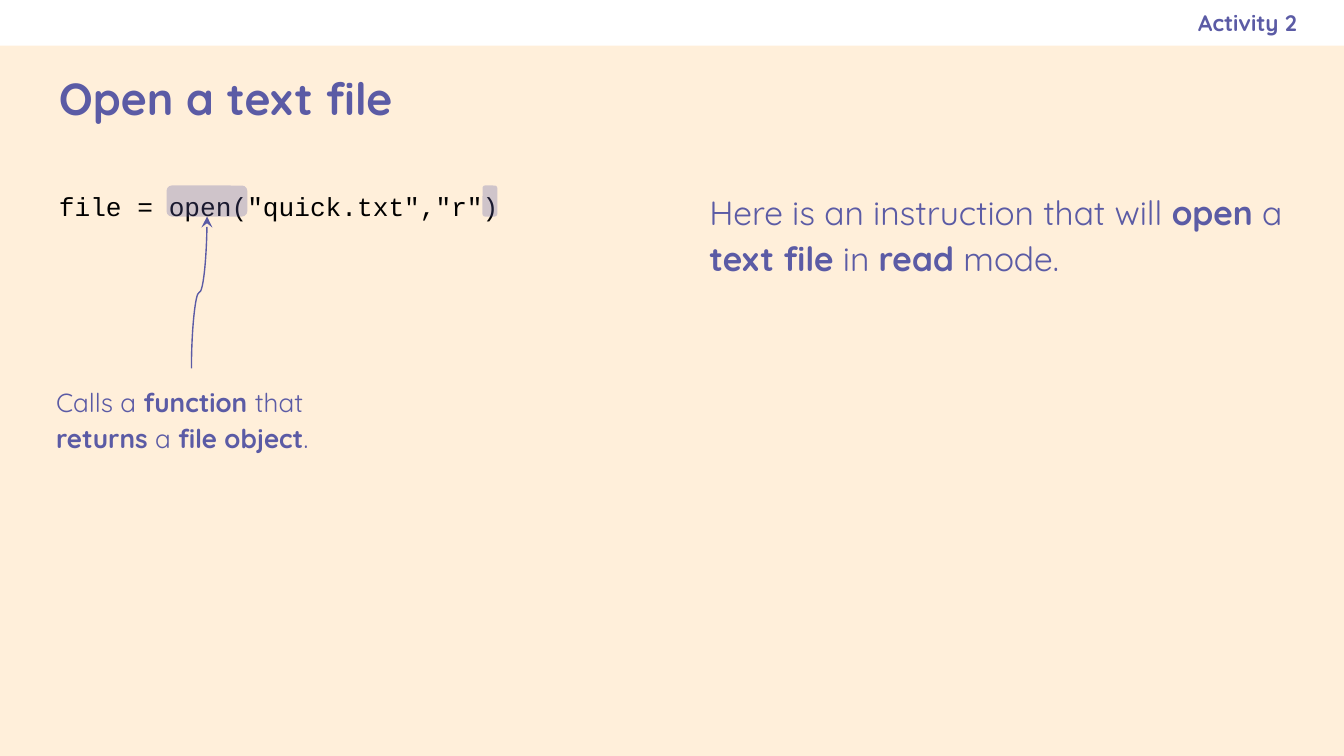
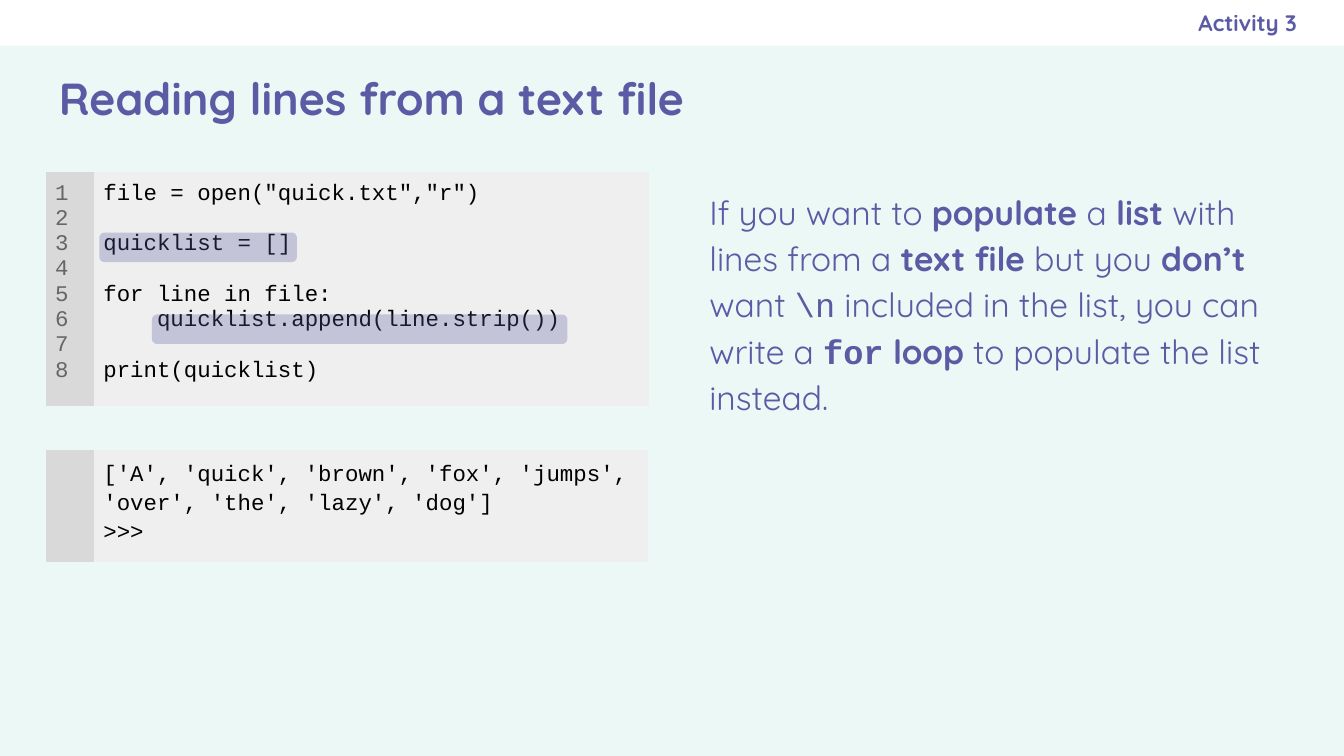
from collections import namedtuple

from lxml.etree import SubElement
from pptx import Presentation
from pptx.dml.color import RGBColor
from pptx.enum.shapes import MSO_CONNECTOR as Connector, MSO_SHAPE as Preset
from pptx.enum.text import MSO_ANCHOR as Anchor, PP_ALIGN as Align
from pptx.oxml.ns import qn
from pptx.util import Pt

Box = namedtuple("Box", "left top width height")

PURPLE, WHITE, BLACK = "5B5BA5", "FFFFFF", "000000"
CREAM, MINT = "FFEFDA", "ECF8F5"
GUTTER_GREY, CODE_GREY, NUMBER_GREY = "D9D9D9", "EFEFEF", "666666"
SANS, MONO = "Quicksand", "Courier New"
NO_GRID_STYLE = "{2D5ABB26-0587-4C30-8999-92F81FD0307C}"

PAGE = Box(0, 0, 720, 405)
BAND_HEIGHT = 24.5
MARGIN = 24.5
GUTTER_WIDTH = 25.9
LEFT_COLUMN = Box(MARGIN, 92.2, 322.6, 288)
RIGHT_COLUMN = LEFT_COLUMN._replace(left=PAGE.width - MARGIN - LEFT_COLUMN.width)


def color(value):
    """Turn a hex string into a colour."""
    return RGBColor.from_string(value)


def lengths(box):
    """Give a box as four lengths in points."""
    return [Pt(value) for value in box]


def within(box, left, top, width, height):
    """Give the box that lies at an offset inside another one."""
    return Box(box.left + left, box.top + top, width, height)


def style(span, size, ink, face=SANS, bold=False):
    """Set the look of one run."""
    span.font.size, span.font.name, span.font.bold = Pt(size), face, bold
    span.font.color.rgb = color(ink)


def fill_shape(page, preset, box, paint, opacity=None):
    """Add a filled preset shape without outline or shadow."""
    shape = page.shapes.add_shape(preset, *lengths(box))
    shape.shadow.inherit = False
    shape.fill.solid()
    shape.fill.fore_color.rgb = color(paint)
    shape.line.fill.background()
    if opacity:
        tint = shape.fill._xPr.find(".//" + qn("a:srgbClr"))
        SubElement(tint, qn("a:alpha")).set("val", str(opacity * 1000))
    return shape


def text_box(page, box, anchor=Anchor.TOP, right_inset=7.2):
    """Add an empty wrapping text box and return its first paragraph."""
    frame = page.shapes.add_textbox(*lengths(box)).text_frame
    frame.word_wrap = True
    frame.vertical_anchor = anchor
    frame.margin_left = frame.margin_top = frame.margin_bottom = Pt(7.2)
    frame.margin_right = Pt(right_inset)
    return frame.paragraphs[0]


def heading(page, box, text, size, align=Align.LEFT, right_inset=7.2):
    """Write one bold, vertically centred line."""
    para = text_box(page, box, Anchor.MIDDLE, right_inset)
    para.text = text
    para.alignment = align
    style(para.runs[0], size, PURPLE, bold=True)


def prose(page, box, marked, size):
    """Write a paragraph in which *...* is bold and `...` is code."""
    para = text_box(page, box)
    para.line_spacing, para.space_after = 1.15, Pt(16)
    for i, part in enumerate(marked.split("*")):
        for j, piece in enumerate(part.split("`")):
            if piece:
                span = para.add_run()
                span.text = piece
                style(span, size, PURPLE, MONO if j % 2 else SANS, bool(i % 2))


def code_line(page, box, code):
    """Write a single line of code."""
    para = text_box(page, box)
    para.text = code
    para.line_spacing = 1.15
    style(para.runs[0], 14, BLACK, MONO)


def highlight(page, box):
    """Lay a translucent marker over code."""
    fill_shape(page, Preset.ROUNDED_RECTANGLE, box, PURPLE, opacity=29)


def curved_arrow(page, start, end):
    """Draw an upright S-curve from start up to end."""
    (x1, y1), (x2, y2) = start, end
    center_x, center_y = (x1 + x2) / 2, (y1 + y2) / 2
    along, across = (y1 - y2) / 2, (x2 - x1) / 2
    arrow = page.shapes.add_connector(
        Connector.CURVE,
        Pt(center_x - along), Pt(center_y - across),
        Pt(center_x + along), Pt(center_y + across))
    arrow.line.color.rgb = color(PURPLE)
    arrow.line.width = Pt(0.75)
    properties = arrow._element.spPr
    properties.find(qn("a:xfrm")).set("rot", str(270 * 60000))
    SubElement(properties.find(qn("a:ln")), qn("a:tailEnd")).set("type", "stealth")
    SubElement(properties, qn("a:effectLst"))


def fill_cell(cell, paint, lines, ink, spacing):
    """Fill a table cell with lines of code."""
    cell.fill.solid()
    cell.fill.fore_color.rgb = color(paint)
    cell.margin_left = cell.margin_right = Pt(5)
    cell.margin_top = cell.margin_bottom = Pt(5)
    cell.text_frame.text = "\n".join(lines)
    for para in cell.text_frame.paragraphs:
        para.line_spacing = spacing
        for span in para.runs:
            style(span, 12, ink, MONO)
        if not para.runs:
            ending = SubElement(para._p, qn("a:endParaRPr"))
            ending.set("sz", "1200")
            SubElement(ending, qn("a:latin")).set("typeface", MONO)


def listing(page, box, lines, numbered=True, spacing=1.0):
    """Add a code table with a grey gutter."""
    frame = page.shapes.add_table(1, 2, *lengths(box))
    table = frame.table
    table.first_row = table.horz_banding = False
    table._tbl.tblPr.find(qn("a:tableStyleId")).text = NO_GRID_STYLE
    table.columns[0].width = Pt(GUTTER_WIDTH)
    table.columns[1].width = Pt(box.width - GUTTER_WIDTH)
    numbers = [str(n + 1) for n in range(len(lines))] if numbered else []
    fill_cell(table.cell(0, 0), GUTTER_GREY, numbers, NUMBER_GREY, spacing)
    fill_cell(table.cell(0, 1), CODE_GREY, lines, BLACK, spacing)


def lesson_page(deck, background, activity, title):
    """Add a page with its background, top band, label and title."""
    page = deck.slides.add_slide(deck.slide_layouts[6])
    page.background.fill.solid()
    page.background.fill.fore_color.rgb = color(background)
    band = PAGE._replace(height=BAND_HEIGHT)
    fill_shape(page, Preset.RECTANGLE, band, WHITE)
    heading(page, within(band, 414, 0, 280.8, BAND_HEIGHT), activity, 12, Align.RIGHT, 0)
    heading(page, Box(MARGIN, 25.2, PAGE.width - 2 * MARGIN, 54.7), title, 24)
    return page


def annotated_call(page, box):
    """Show the open call with its highlights and explanation."""
    code_line(page, box, 'file = open("quick.txt","r")')
    call = within(box, 64.8, 7.2, 43.2, 16.6)
    highlight(page, call)
    highlight(page, within(box, 234, 7.2, 7.9, 16.6))
    note = within(box, -1.5, 105.1, 159.1, 77.8)
    prose(page, note, "Calls a *function *that *returns *a *file object*.", 14)
    curved_arrow(page, (note.left + note.width / 2, note.top),
                 (call.left + call.width / 2, call.top + call.height))


def program_and_output(page, box):
    """Show the numbered program above what it prints."""
    listing(page, within(box, 0, 0, 323.3, 118.4), [
        'file = open("quick.txt","r")',
        "",
        "quicklist = []",
        "",
        "for line in file:",
        "    quicklist.append(line.strip())",
        "",
        "print(quicklist)",
    ])
    highlight(page, within(box, 28.8, 32.4, 105.8, 15.8))
    highlight(page, within(box, 56.9, 76.3, 222.5, 15.8))
    listing(page, within(box, 0, 149, 322.6, 56.8), [
        "['A', 'quick', 'brown', 'fox', 'jumps', 'over', 'the', 'lazy', 'dog']",
        ">>>",
    ], numbered=False, spacing=1.15)


def main():
    """Build and save the deck."""
    deck = Presentation()
    deck.slide_width, deck.slide_height = Pt(PAGE.width), Pt(PAGE.height)

    page = lesson_page(deck, CREAM, "Activity 2", "Open a text file")
    annotated_call(page, LEFT_COLUMN)
    prose(page, RIGHT_COLUMN,
          "Here is an instruction that will *open *a *text file* in *read *mode.", 18)

    page = lesson_page(deck, MINT, "Activity 3", "Reading lines from a text file")
    program_and_output(page, LEFT_COLUMN)
    prose(page, RIGHT_COLUMN,
          r"If you want to *populate *a *list *with lines from a *text file* but you "
          r"*don’t* want `\n` included in the list, you can write a *`for` loop* "
          r"to populate the list instead.", 18)

    deck.save("out.pptx")


if __name__ == "__main__":
    main()
